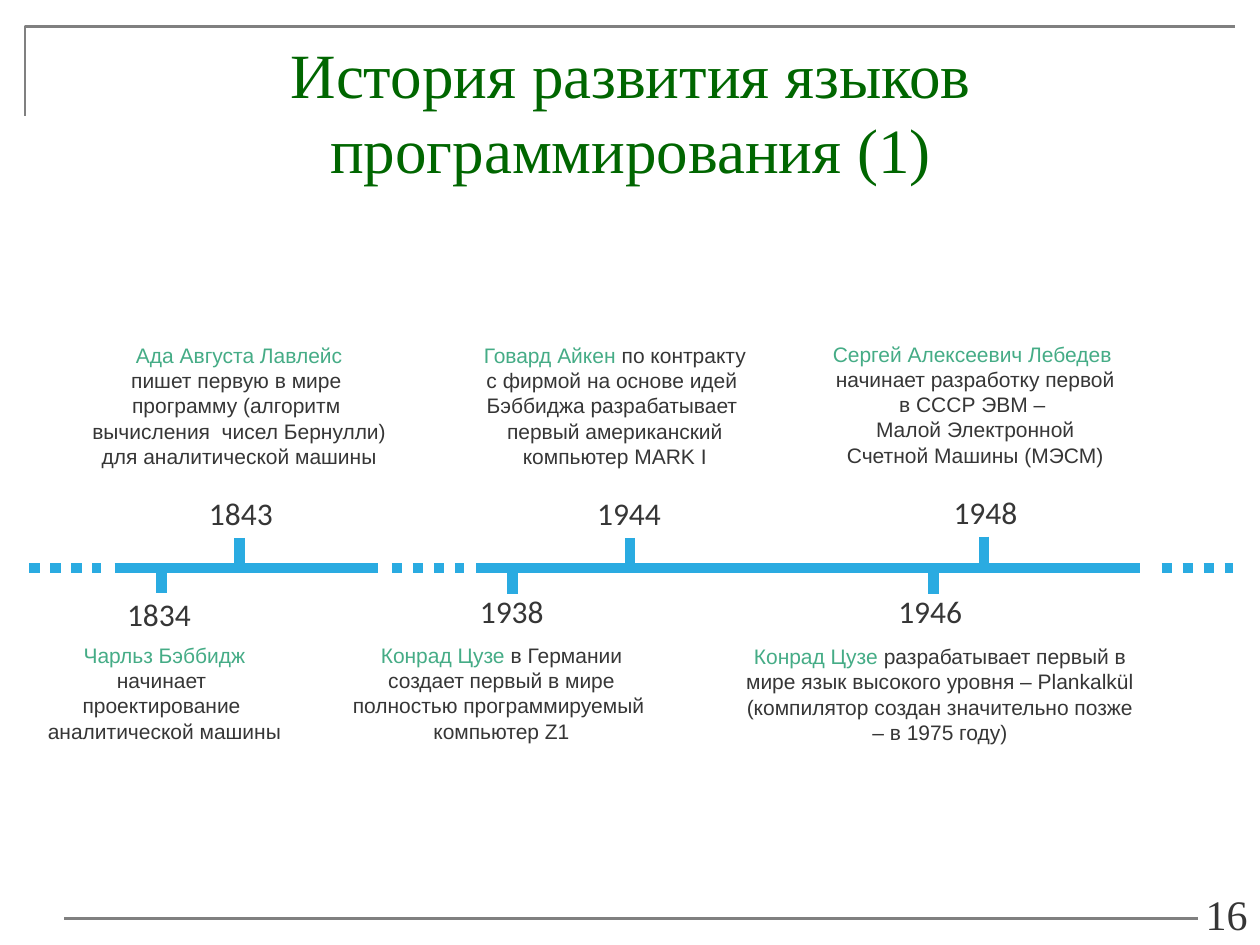
from lxml.etree import SubElement
from pptx import Presentation
from pptx.dml.color import RGBColor
from pptx.enum.dml import MSO_LINE
from pptx.enum.shapes import MSO_CONNECTOR
from pptx.enum.text import MSO_ANCHOR, MSO_AUTO_SIZE, PP_ALIGN
from pptx.oxml.ns import qn
from pptx.util import Pt

GRAY = RGBColor(0x80, 0x80, 0x80)
DARK = RGBColor(0x36, 0x36, 0x36)
TITLE_GREEN = RGBColor(0x00, 0x66, 0x00)
NAME_GREEN = RGBColor(0x45, 0xAC, 0x86)
BLUE = RGBColor(0x2A, 0xAB, 0xE1)

TITLE = "История развития языков программирования (1)"
PAGE_NUMBER = "16"

AXIS_Y = 324.7
TICK_LENGTH = 17
YEAR_SIZE = (51.1, 29)
SOLID_SPANS = [(65.5, 216), (272.2, 651.6)]
DOTTED_STARTS = [16.6, 223.9, 663.8]
DOTTED_LENGTH = 41

EVENTS = [
    ("1834", (92.2, 321.8), (65.5, 336.2), (16.6, 363.6, 154.8, 82), True,
     "Чарльз Бэббидж ",
     ["начинает ", "проектирование ", "аналитической машины"]),
    ("1938", (293, 322.2), (267.1, 334.8), (193.7, 363.6, 185.8, 65.5), False,
     "Конрад Цузе ",
     ["в Германии", "создает первый в мире", "полностью программируемый ",
      "компьютер Z1"]),
    ("1843", (136.8, 307.4), (112.3, 278.6), (44.6, 192.2, 184.3, 80), False,
     "Ада Августа Лавлейс",
     ["", "пишет первую в мире ", "программу (алгоритм ",
      "вычисления  чисел Бернулли)", "для аналитической машины"]),
    ("1944", (360, 307.4), (334.1, 278.6), (268.6, 192.2, 165.6, 80), False,
     "Говард Айкен ",
     ["по контракту", "с фирмой на основе идей ", "Бэббиджа разрабатывает ",
      "первый американский", "компьютер MARK I"]),
    ("1946", (533.5, 322.6), (506.2, 334.8), (416.2, 364.3, 241.9, 65.5), True,
     "Конрад Цузе ",
     ["разрабатывает первый в мире язык высокого уровня – Plankalkül "
      "(компилятор создан значительно позже – в 1975 году)"]),
    ("1948", (562.3, 306.7), (537.8, 277.9), (468, 191.5, 178.6, 80), False,
     "Сергей Алексеевич Лебедев ",
     ["", "начинает разработку первой", "в СССР ЭВМ – ",
      "Малой Электронной", "Счетной Машины (МЭСМ)"]),
]


def add_line(slide, start, end, color=BLUE, width=6, dash=None):
    points = [Pt(value) for value in (*start, *end)]
    line = slide.shapes.add_connector(MSO_CONNECTOR.STRAIGHT, *points)
    line.line.color.rgb = color
    line.line.width = Pt(width)
    if dash:
        line.line.dash_style = dash
    SubElement(line._element.spPr, qn("a:effectLst"))


def add_run(paragraph, text, font_name, size, color):
    run = paragraph.add_run()
    run.text = text
    run.font.name = font_name
    run.font.size = Pt(size)
    run.font.color.rgb = color


def add_text(slide, box, paragraphs, font_name, size, align=PP_ALIGN.CENTER,
             anchor=MSO_ANCHOR.TOP, wrap=True, grow=False):
    frame = slide.shapes.add_textbox(*[Pt(value) for value in box]).text_frame
    frame.word_wrap = wrap
    frame.vertical_anchor = anchor
    frame.auto_size = MSO_AUTO_SIZE.SHAPE_TO_FIT_TEXT if grow else MSO_AUTO_SIZE.NONE
    for index, runs in enumerate(paragraphs):
        paragraph = frame.add_paragraph() if index else frame.paragraphs[0]
        paragraph.alignment = align
        for text, color in runs:
            add_run(paragraph, text, font_name, size, color)


def add_frame(slide):
    builder = slide.shapes.build_freeform(Pt(14.4), Pt(66.2))
    builder.add_line_segments([(Pt(14.4), Pt(15)), (Pt(705.6), Pt(15))], close=False)
    corner = builder.convert_to_shape()
    corner.shadow.inherit = False
    corner.fill.background()
    corner.line.color.rgb = GRAY
    corner.line.width = Pt(1.5)
    add_line(slide, (36.7, 524.9), (684.7, 524.9), GRAY, 1.5)
    add_text(slide, (552.2, 508.3, 167.8, 31.7), [[(PAGE_NUMBER, DARK)]],
             "Times New Roman", 24, PP_ALIGN.RIGHT, MSO_ANCHOR.BOTTOM)
    add_text(slide, (14.4, 15.1, 691.9, 96.5), [[(TITLE, TITLE_GREEN)]],
             "Times New Roman", 36, anchor=MSO_ANCHOR.MIDDLE)


def add_event(slide, year, tick, year_place, text_box, wrap, name, lines):
    x, top = tick
    add_line(slide, tick, (x, top + TICK_LENGTH))
    add_text(slide, (*year_place, *YEAR_SIZE), [[(year, DARK)]],
             "Calibri", 18, PP_ALIGN.LEFT, wrap=False, grow=True)
    first = [(name, NAME_GREEN)]
    if lines[0]:
        first.append((lines[0], DARK))
    paragraphs = [first] + [[(line, DARK)] for line in lines[1:]]
    add_text(slide, text_box, paragraphs, "Arial", 12, wrap=wrap, grow=True)


def main():
    presentation = Presentation()
    presentation.slide_width = Pt(720)
    presentation.slide_height = Pt(540)
    slide = presentation.slides.add_slide(presentation.slide_layouts[6])
    add_frame(slide)
    for left, right in SOLID_SPANS:
        add_line(slide, (left, AXIS_Y), (right, AXIS_Y))
    for left in DOTTED_STARTS:
        add_line(slide, (left, AXIS_Y), (left + DOTTED_LENGTH, AXIS_Y),
                 dash=MSO_LINE.ROUND_DOT)
    for event in EVENTS:
        add_event(slide, *event)
    presentation.save("out.pptx")


if __name__ == "__main__":
    main()
